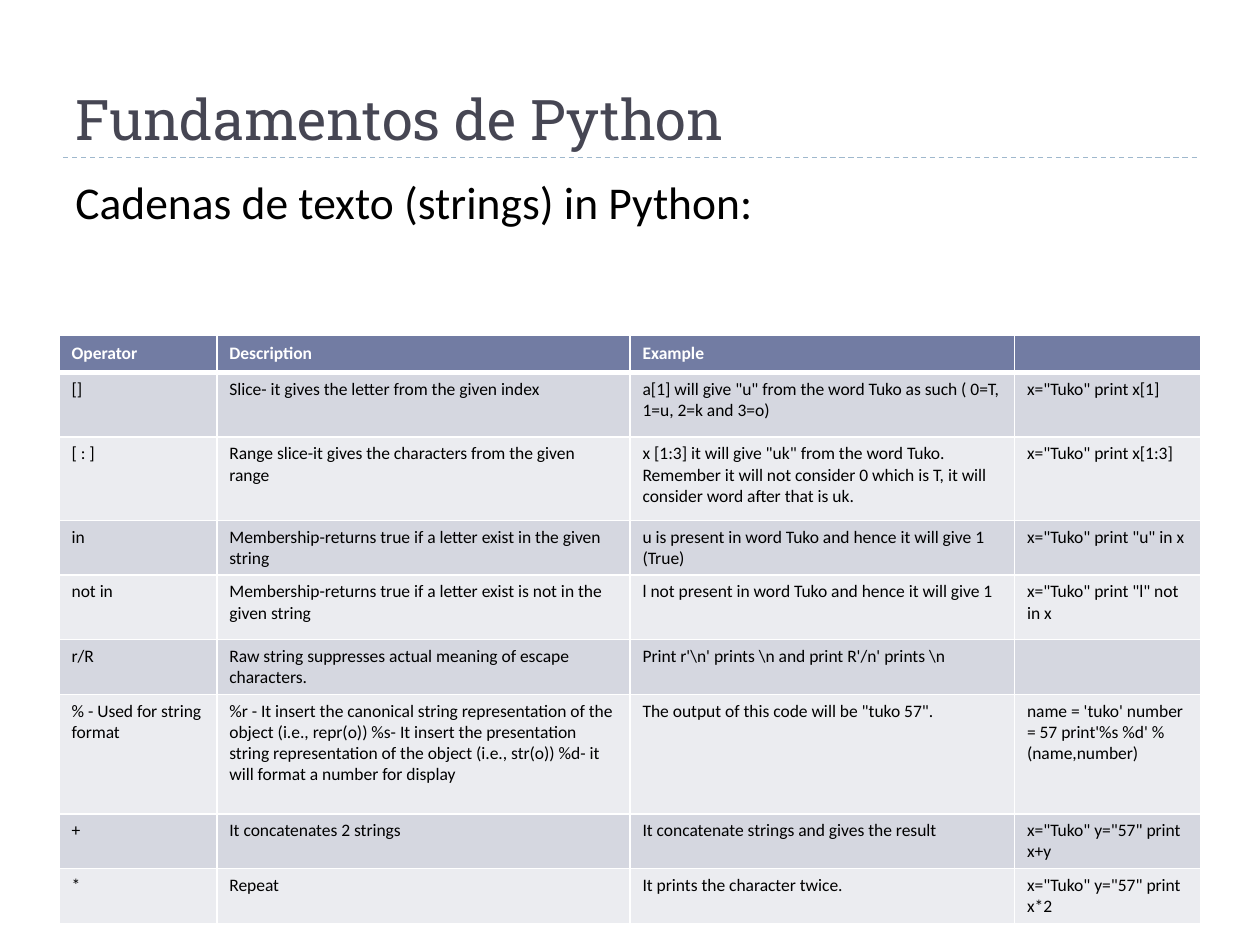
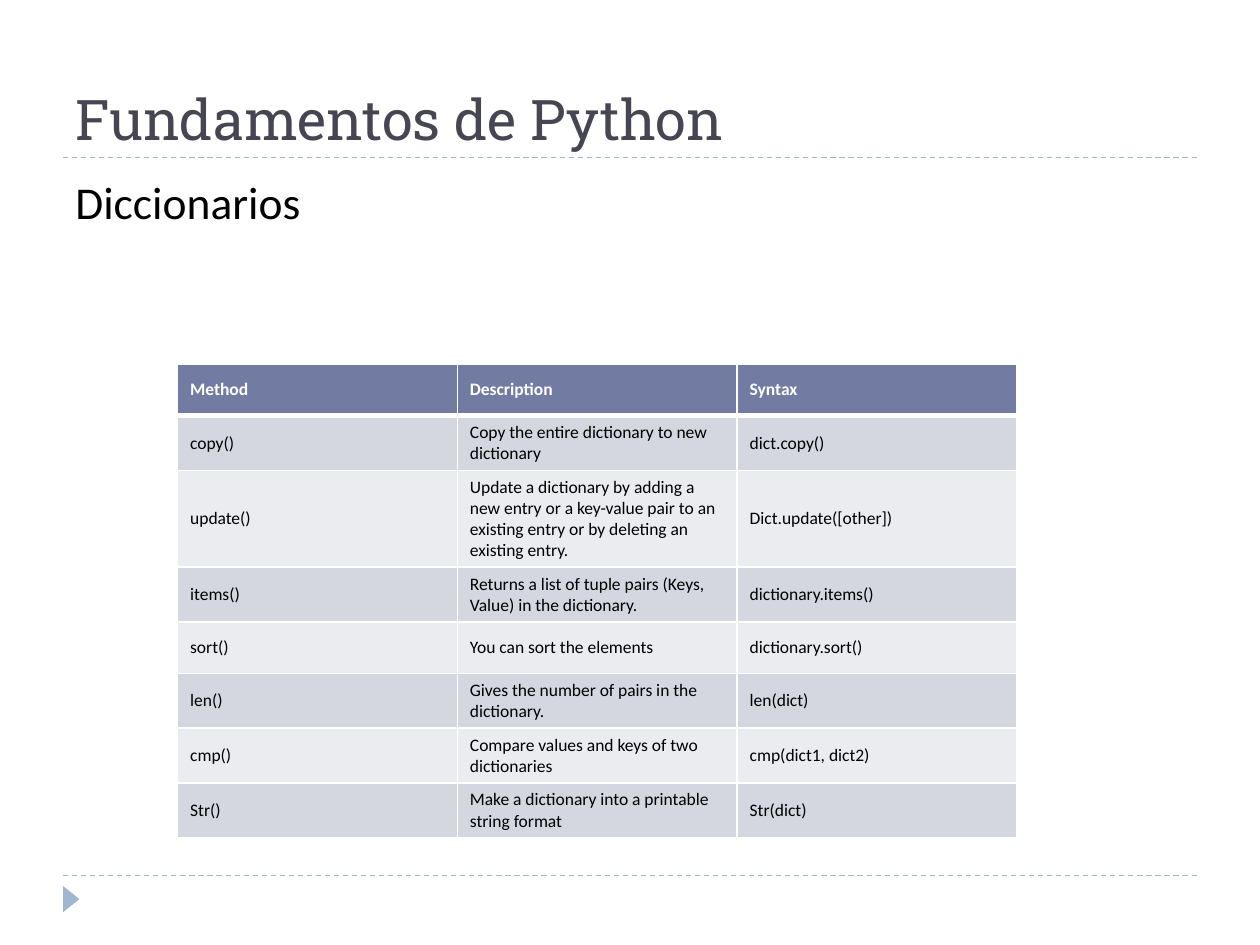
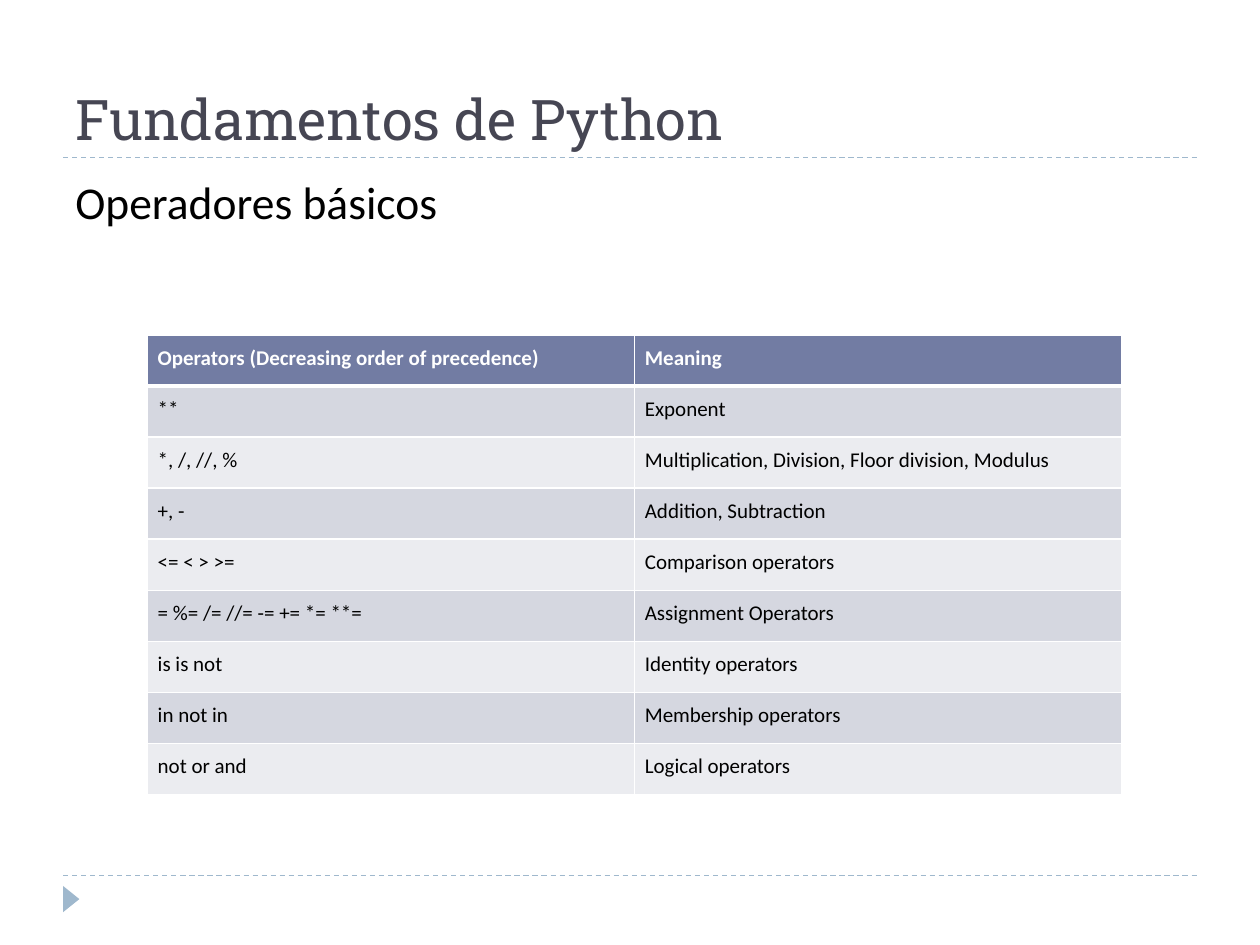
from lxml.etree import SubElement
from pptx import Presentation
from pptx.dml.color import RGBColor
from pptx.enum.dml import MSO_LINE
from pptx.enum.shapes import MSO_CONNECTOR, MSO_SHAPE
from pptx.enum.text import MSO_ANCHOR
from pptx.oxml.ns import qn
from pptx.util import Cm, Pt

THEME = {
    "title": {"name": "Roboto Slab", "size": Pt(32), "color": "464653"},
    "body": {"name": "Calibri", "size": Pt(26), "color": "000000"},
    "head": {"name": "Calibri", "bold": True, "color": "FFFFFF"},
    "cell": {"name": "Calibri", "bold": False, "color": "000000"},
    "accent": "9FB8CD",
    "header_fill": "727CA3",
    "band_fills": ("D5D7E0", "EBECF0"),
    "border": "FFFFFF",
    "thin": Pt(1),
    "thick": Pt(3),
}
MARGIN, CONTENT_W = 1.27, 22.86
RULES_Y = (17.65, 3.18)
TITLE = "Fundamentos de Python"
MIDDLE, TOP = MSO_ANCHOR.MIDDLE, MSO_ANCHOR.TOP

SLIDES = [
    {
        "heading": "Cadenas de texto (strings) in Python:",
        "at": (1.19, 6.75),
        "cols": [3.18, 8.33, 7.75, 3.76],
        "heights": [0.76, 1.3, 1.68, 0.91, 1.3, 0.91, 2.41, 0.91, 0.76],
        "size": 10, "anchors": (MIDDLE, TOP),
        "rows": [
            ("Operator", "Description", "Example", ""),
            ("[]", "Slice- it gives the letter from the given index",
             'a[1] will give "u" from the word Tuko as such ( 0=T, 1=u, 2=k and 3=o)',
             'x="Tuko" print x[1]'),
            ("[ : ]", "Range slice-it gives the characters from the given range",
             'x [1:3] it will give "uk" from the word Tuko. Remember it will not '
             "consider 0 which is T, it will consider word after that is uk.",
             'x="Tuko" print x[1:3]'),
            ("in", "Membership-returns true if a letter exist in the given string",
             "u is present in word Tuko and hence it will give 1 (True)",
             'x="Tuko" print "u" in x'),
            ("not in",
             "Membership-returns true if a letter exist is not in the given string",
             "l not present in word Tuko and hence it will give 1",
             'x="Tuko" print "l" not in x'),
            ("r/R", "Raw string suppresses actual meaning of escape characters.",
             r"Print r'\n' prints \n and print R'/n' prints \n", ""),
            ("% - Used for string format",
             "%r - It insert the canonical string representation of the object "
             "(i.e., repr(o)) %s- It insert the presentation string representation "
             "of the object (i.e., str(o)) %d- it will format a number for display",
             'The output of this code will be "tuko 57".',
             "name = 'tuko' number = 57 print'%s %d' % (name,number)"),
            ("+", "It concatenates 2 strings",
             "It concatenate strings and gives the result",
             'x="Tuko" y="57" print x+y'),
            ("*", "Repeat", "It prints the character twice.",
             'x="Tuko" y="57" print x*2'),
        ],
    },
    {
        "heading": "Diccionarios",
        "at": (3.58, 7.34),
        "cols": [5.64] * 3,
        "heights": [1.04] * 8,
        "size": 10, "anchors": (MIDDLE, MIDDLE),
        "rows": [
            ("Method", "Description", "Syntax"),
            ("copy()", "Copy the entire dictionary to new dictionary", "dict.copy()"),
            ("update()",
             "Update a dictionary by adding a new entry or a key-value pair to an "
             "existing entry or by deleting an existing entry.",
             "Dict.update([other])"),
            ("items()",
             "Returns a list of tuple pairs (Keys, Value) in the dictionary.",
             "dictionary.items()"),
            ("sort()", "You can sort the elements", "dictionary.sort()"),
            ("len()", "Gives the number of pairs in the dictionary.", "len(dict)"),
            ("cmp()", "Compare values and keys of two dictionaries",
             "cmp(dict1, dict2)"),
            ("Str()", "Make a dictionary into a printable string format",
             "Str(dict)"),
        ],
    },
    {
        "heading": "Operadores básicos",
        "at": (2.97, 6.75),
        "cols": [9.82] * 2,
        "heights": [1.03] * 9,
        "size": 12, "anchors": (TOP, TOP), "inset": 0.21,
        "rows": [
            ("Operators (Decreasing order of precedence)", "Meaning"),
            ("**", "Exponent"),
            ("*, /, //, %", "Multiplication, Division, Floor division, Modulus"),
            ("+, -", "Addition, Subtraction"),
            ("<= < > >=", "Comparison operators"),
            ("= %= /= //= -= += *= **=", "Assignment Operators"),
            ("is is not", "Identity operators"),
            ("in not in", "Membership operators"),
            ("not or and", "Logical operators"),
        ],
    },
]


def set_font(font, style):
    """Apply a dict of font values."""
    for name, value in style.items():
        if name == "color":
            font.color.rgb = RGBColor.from_string(value)
        else:
            setattr(font, name, value)


def set_fill(fill, color):
    """Make a fill solid."""
    fill.solid()
    fill.fore_color.rgb = RGBColor.from_string(color)


def add_frame(s):
    """Draw the dashed rules and the footer marker, then move them to the layout."""
    parts = []
    for y in RULES_Y:
        rule = s.shapes.add_connector(MSO_CONNECTOR.STRAIGHT, Cm(MARGIN), Cm(y),
                                      Cm(MARGIN + CONTENT_W), Cm(y))
        rule.line.color.rgb = RGBColor.from_string(THEME["accent"])
        rule.line.width = Pt(0.75)
        rule.line.dash_style = MSO_LINE.DASH
        SubElement(rule._element.spPr, qn("a:effectLst"))
        parts.append(rule)
    marker = s.shapes.add_shape(MSO_SHAPE.ISOSCELES_TRIANGLE,
                                Cm(1.17), Cm(17.96), Cm(0.53), Cm(0.33))
    marker.rotation = 90
    marker.shadow.inherit = False
    set_fill(marker.fill, THEME["accent"])
    marker.line.fill.background()
    parts.append(marker)
    layout = s.slide_layout
    for ph in list(layout.placeholders):
        ph._element.getparent().remove(ph._element)
    for part in parts:
        layout.shapes._spTree.append(part._element)


def add_text(s, text, top, height, style, anchor, before=0):
    """Add a full-width text box."""
    sp = s.shapes.add_textbox(Cm(MARGIN), Cm(top), Cm(CONTENT_W), Cm(height))
    tf = sp.text_frame
    tf.word_wrap = True
    tf.vertical_anchor = anchor
    p = tf.paragraphs[0]
    p.space_before = Pt(before)
    r = p.add_run()
    r.text = text
    set_font(r.font, style)


def set_borders(cell, top, bottom):
    """Draw the four cell borders; call it before the fill is set."""
    tc_pr = cell._tc.get_or_add_tcPr()
    widths = {"L": THEME["thin"], "R": THEME["thin"], "T": top, "B": bottom}
    for side, width in widths.items():
        ln = SubElement(tc_pr, qn(f"a:ln{side}"), w=str(int(width)))
        fill = SubElement(ln, qn("a:solidFill"))
        SubElement(fill, qn("a:srgbClr"), val=THEME["border"])


def fill_cell(cell, text, row, spec):
    """Write and format one cell according to its row."""
    thin, thick = THEME["thin"], THEME["thick"]
    set_borders(cell, thick if row == 1 else thin, thick if row == 0 else thin)
    bands = THEME["band_fills"]
    set_fill(cell.fill, bands[(row - 1) % 2] if row else THEME["header_fill"])
    cell.vertical_anchor = spec["anchors"][min(row, 1)]
    if "inset" in spec:
        for side in ("left", "top", "right", "bottom"):
            setattr(cell, f"margin_{side}", Cm(spec["inset"]))
    p = cell.text_frame.paragraphs[0]
    if text:
        r = p.add_run()
        r.text = text
        set_font(r.font, {**THEME["cell" if row else "head"],
                          "size": Pt(spec["size"])})
    else:
        p._p.get_or_add_endParaRPr().set("sz", str(spec["size"] * 100))


def add_grid(s, spec):
    """Add the table of a slide."""
    rows, cols, heights = spec["rows"], spec["cols"], spec["heights"]
    left, top = spec["at"]
    table = s.shapes.add_table(len(rows), len(cols), Cm(left), Cm(top),
                               Cm(sum(cols)), Cm(sum(heights))).table
    table.horz_banding = False
    for column, width in zip(table.columns, cols):
        column.width = Cm(width)
    for i, (row, height) in enumerate(zip(table.rows, heights)):
        row.height = Cm(height)
        for cell, text in zip(row.cells, rows[i]):
            fill_cell(cell, text, i, spec)


def build():
    """Build and save the presentation."""
    prs = Presentation()
    prs.slide_width, prs.slide_height = Cm(25.4), Cm(19.05)
    for i, spec in enumerate(SLIDES):
        s = prs.slides.add_slide(prs.slide_layouts[6])
        if i == 0:
            add_frame(s)
        add_text(s, TITLE, 0.43, 2.75, THEME["title"], MSO_ANCHOR.BOTTOM)
        add_text(s, spec["heading"], 3.38, 13.72, THEME["body"], TOP, before=6)
        add_grid(s, spec)
    prs.save("out.pptx")


build()
